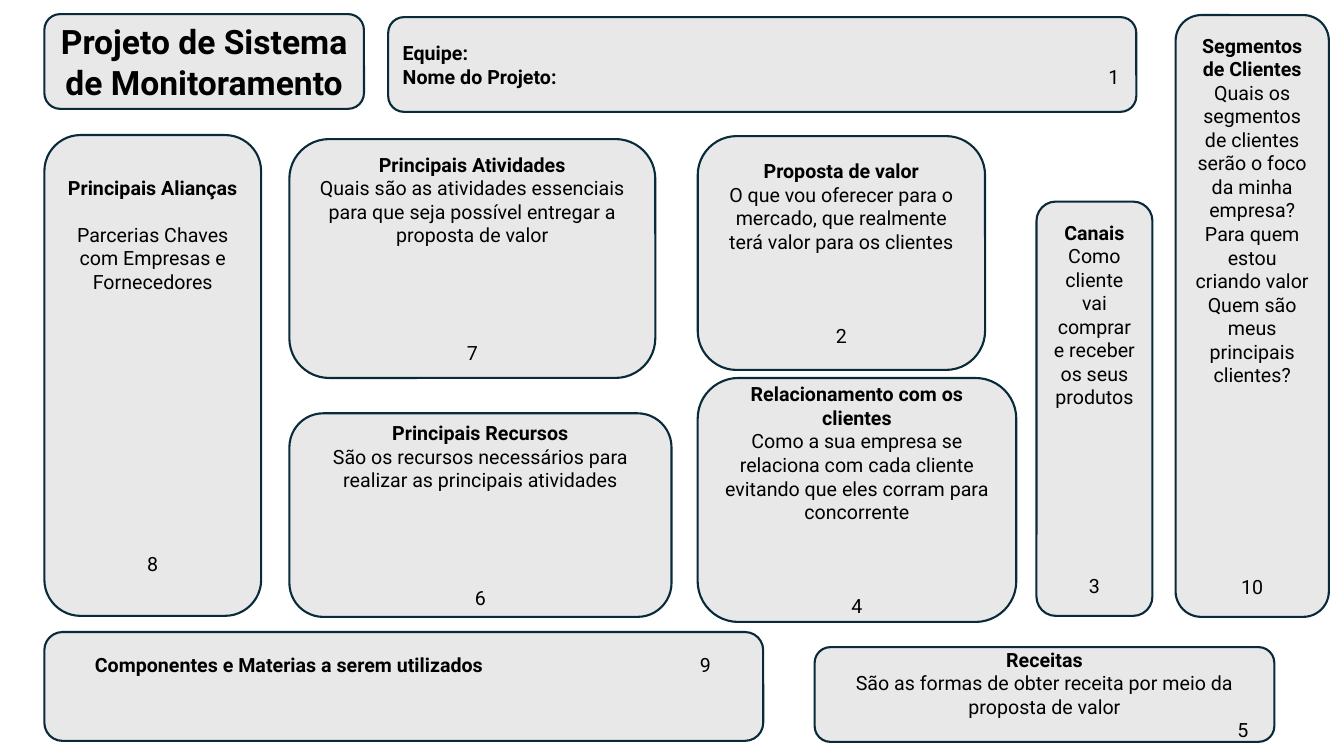
import pptx
import pptx.util
import pptx.dml.color
import pptx.enum.shapes
import pptx.enum.text
import pptx.oxml.ns
import lxml.etree
from dataclasses import dataclass

Inches, Pt = pptx.util.Inches, pptx.util.Pt
RGB = pptx.dml.color.RGBColor.from_string
ALIGN = pptx.enum.text.PP_ALIGN
ANCHOR = pptx.enum.text.MSO_ANCHOR


@dataclass
class Theme:
    font: str = "Roboto"
    fill: str = "E8E8E8"
    line: str = "092A39"
    text: str = "000000"
    title: int = 24
    body: int = 14
    line_height: float = 16.8


theme = Theme()


def add_card(at, lines, size=theme.body, align=ALIGN.CENTER):
    sp = s.shapes.add_shape(pptx.enum.shapes.MSO_SHAPE.ROUNDED_RECTANGLE,
                            *[Inches(v) for v in at])
    sp.shadow.inherit = False
    sp.fill.solid()
    sp.fill.fore_color.rgb = RGB(theme.fill)
    sp.line.color.rgb = RGB(theme.line)
    sp.line.width = Pt(1.5)
    tf = sp.text_frame
    tf.word_wrap = True
    tf.vertical_anchor = ANCHOR.MIDDLE
    for i, (text, bold, blanks) in enumerate(lines):
        p = tf.add_paragraph() if i else tf.paragraphs[0]
        p.text = text
        p.alignment = align
        p.space_before = Pt(blanks * theme.line_height)
        format_run(p.runs[0], size, bold)
    return tf


def format_run(r, size, bold):
    r.font.name = theme.font
    r.font.size = Pt(size)
    r.font.bold = bold
    r.font.color.rgb = RGB(theme.text)


prs = pptx.Presentation()
prs.slide_width, prs.slide_height = Inches(13.33), Inches(7.5)
s = prs.slides.add_slide(prs.slide_layouts[6])

add_card((0.44, 0.14, 3.17, 0.94),
         [("Projeto de Sistema de Monitoramento", True, 0)], theme.title)

blocks = [
    ((0.44, 1.34, 2.15, 4.77), "Principais Alianças",
     ["Parcerias Chaves com Empresas e Fornecedores"], 1, "8", 11),
    ((2.87, 1.38, 3.63, 2.37), "Principais Atividades",
     ["Quais são as atividades essenciais para que seja possível entregar a proposta de valor"],
     0, "7", 4),
    ((2.87, 4.1, 3.79, 2.02), "Principais Recursos",
     ["São os recursos necessários para realizar as principais atividades"], 0, "6", 4),
    ((6.92, 1.35, 2.85, 2.32), "Proposta de valor",
     ["O que vou oferecer para o mercado, que realmente terá valor para os clientes"],
     0, "2", 3),
    ((6.92, 3.75, 3.16, 2.42), "Relacionamento com os clientes",
     ["Como a sua empresa se relaciona com cada cliente evitando que eles corram para concorrente"],
     0, "4", 3),
    ((10.28, 2, 1.15, 4.11), "Canais",
     ["Como cliente vai comprar e receber os seus produtos"], 0, "3", 7),
    ((11.66, 0.15, 1.52, 5.97), "Segmentos de Clientes",
     ["Quais os segmentos de clientes serão o foco da minha empresa?",
      "Para quem estou criando valor",
      "Quem são meus principais clientes?"], 0, "10", 8),
]
for at, title, questions, title_gap, number, number_gap in blocks:
    lines = [(title, True, 0)]
    lines += [(q, False, title_gap) for q in questions]
    add_card(at, lines + [(number, False, number_gap)])

team = add_card((3.85, 0.17, 7.42, 0.94),
                [("Equipe:", True, 0), ("Nome do Projeto:", True, 0)], align=ALIGN.LEFT)
materials = add_card((0.44, 6.27, 7.13, 1.08),
                     [("\tComponentes e Materias a serem utilizados", True, 0)],
                     align=ALIGN.LEFT)
materials.vertical_anchor = ANCHOR.TOP
materials.margin_top = Inches(0.15)
revenue = add_card((8.08, 6.42, 4.56, 0.94),
                   [("Receitas", True, 0),
                    ("São as formas de obter receita por meio da proposta de valor", False, 0)])
revenue.add_paragraph().alignment = ALIGN.LEFT

for tf, number, stops in [(team, "1", [7]), (materials, "9", [0.35, 6.35]),
                          (revenue, "5", [4.05])]:
    p = tf.paragraphs[-1]
    r = p.add_run()
    r.text = "\t" + number
    format_run(r, theme.body, False)
    tabs = lxml.etree.SubElement(p._p.get_or_add_pPr(), pptx.oxml.ns.qn("a:tabLst"))
    for stop in stops:
        lxml.etree.SubElement(tabs, pptx.oxml.ns.qn("a:tab"),
                              pos=str(Inches(stop)), algn="l")

prs.save("out.pptx")
